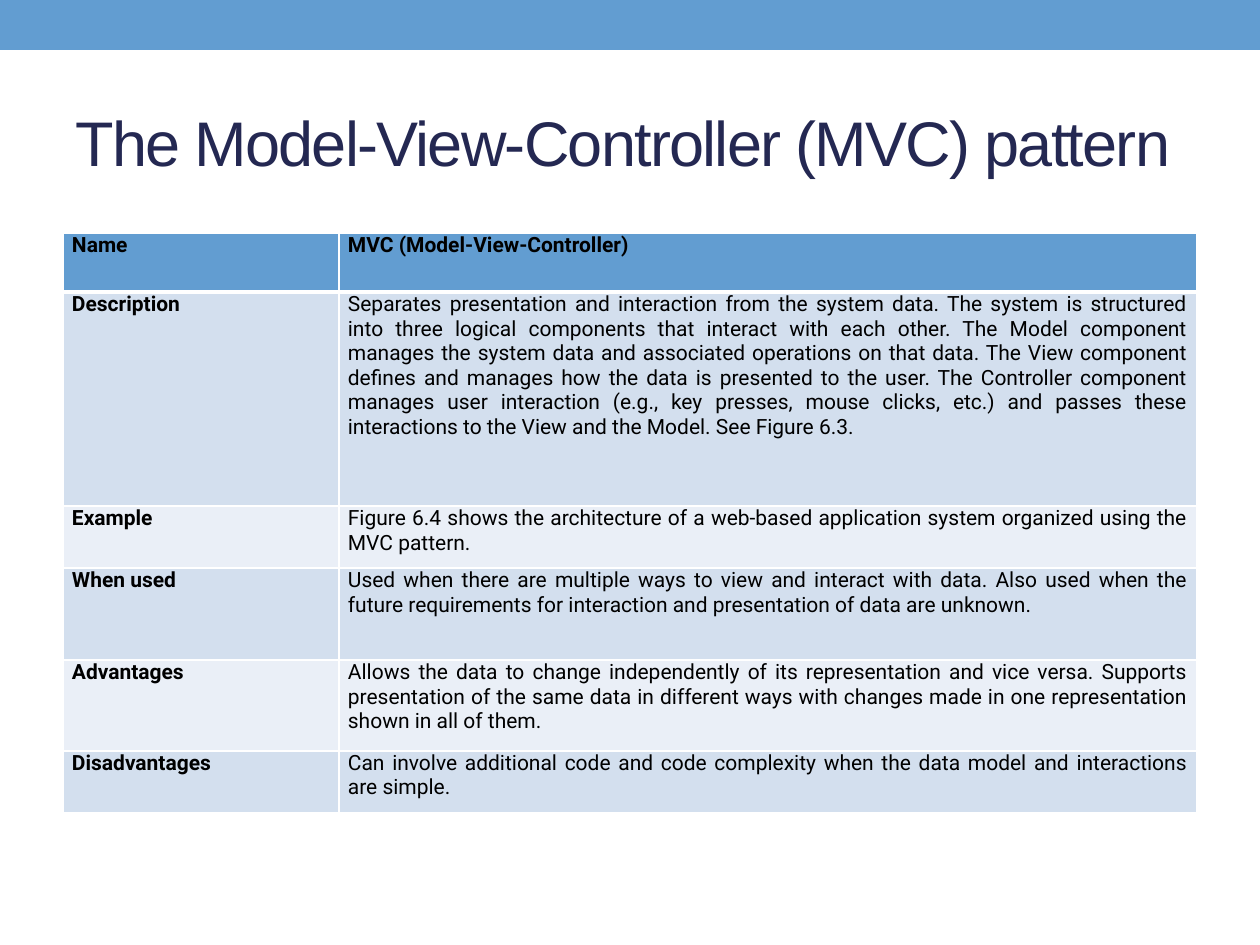
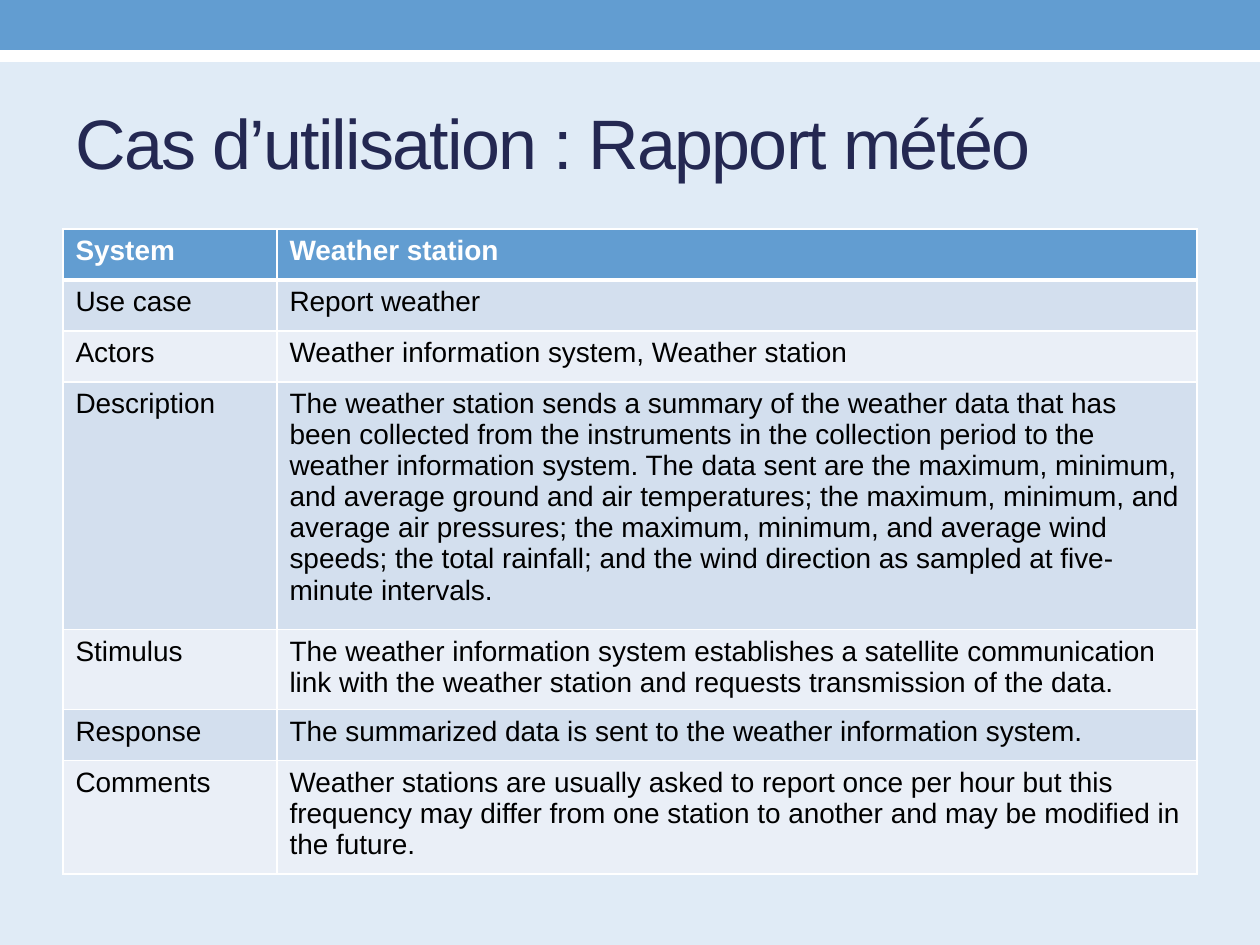
from pptx import Presentation
from pptx.dml.color import RGBColor as RGB
from pptx.enum.shapes import MSO_SHAPE as Shape
from pptx.enum.text import MSO_ANCHOR as Anchor, PP_ALIGN as Align
from pptx.oxml.ns import qn
from pptx.util import Pt
from lxml.etree import SubElement as Sub

PX = 914400 / 126
WIDE, HIGH = 1260, 945
BLUE = RGB(0x62, 0x9D, 0xD1)
NAVY = RGB(0x24, 0x28, 0x52)
PALE = RGB(0xE0, 0xEB, 0xF6)
ODD = RGB(0xD3, 0xDF, 0xEE)
EVEN = RGB(0xEA, 0xEF, 0xF7)
WHITE = RGB(0xFF, 0xFF, 0xFF)
BLACK = RGB(0, 0, 0)
TITLE = (63, 73, 1134, 136)

MVC = [
    ("Name", "MVC (Model-View-Controller)"),
    ("Description",
     "Separates presentation and interaction from the system data. The system is "
     "structured into three logical components that interact with each other. The "
     "Model component manages the system data and associated operations on that data. "
     "The View component defines and manages how the data is presented to the user. "
     "The Controller component manages user interaction (e.g., key presses, mouse "
     "clicks, etc.) and passes these interactions to the View and the Model. "
     "See Figure 6.3."),
    ("Example",
     "Figure 6.4 shows the architecture of a web-based application system organized "
     "using the MVC pattern."),
    ("When used",
     "Used when there are multiple ways to view and interact with data. Also used when "
     "the future requirements for interaction and presentation of data are unknown."),
    ("Advantages",
     "Allows the data to change independently of its representation and vice versa. "
     "Supports presentation of the same data in different ways with changes made in "
     "one representation shown in all of them."),
    ("Disadvantages",
     "Can involve additional code and code complexity when the data model and "
     "interactions are simple."),
]
REPORT = [
    ("System", "Weather station"),
    ("Use case", "Report weather"),
    ("Actors", "Weather information system, Weather station"),
    ("Description",
     "The weather station sends a summary of the weather data that has been collected "
     "from the instruments in the collection period to the weather information system. "
     "The data sent are the maximum, minimum, and average ground and air temperatures; "
     "the maximum, minimum, and average air pressures; the maximum, minimum, and "
     "average wind speeds; the total rainfall; and the wind direction as sampled at "
     "five-minute intervals."),
    ("Stimulus",
     "The weather information system establishes a satellite communication link with "
     "the weather station and requests transmission of the data."),
    ("Response", "The summarized data is sent to the weather information system."),
    ("Comments",
     "Weather stations are usually asked to report once per hour but this frequency "
     "may differ from one station to another and may be modified in the future."),
]


def px(*vals):
    return [round(v * PX) for v in vals]


def write(para, text, font, size, color, bold=False):
    run = para.add_run()
    run.text = text
    run.font.name, run.font.size, run.font.bold = font, Pt(size), bold
    run.font.color.rgb = color
    return run


def add_band(slide, box, color):
    band = slide.shapes.add_shape(Shape.RECTANGLE, *px(*box))
    band.shadow.inherit = False
    band.fill.solid()
    band.fill.fore_color.rgb = color
    band.line.fill.background()


def add_title(slide, box, text, size):
    frame = slide.shapes.add_textbox(*px(*box)).text_frame
    frame.word_wrap = True
    frame.vertical_anchor = Anchor.MIDDLE
    run = write(frame.paragraphs[0], text, "Arial", size, NAVY)
    run.font._element.set("spc", "-100")


def add_edges(cell, top, base):
    """Draw white cell borders; top and base are widths in points."""
    props = cell._tc.get_or_add_tcPr()
    for side, width in zip("LRTB", (1, 1, top, base)):
        line = Sub(props, qn(f"a:ln{side}"), w=str(Pt(width)))
        Sub(Sub(line, qn("a:solidFill")), qn("a:srgbClr"), val=str(WHITE))


def add_grid(slide, left, top, cols, highs, rows, style):
    """Fill a table; style(row, col) gives the font settings of a cell."""
    frame = slide.shapes.add_table(
        len(rows), len(cols), *px(left, top, sum(cols), sum(highs)))
    table = frame.table
    for col, wide in zip(table.columns, px(*cols)):
        col.width = wide
    for row, high in zip(table.rows, px(*highs)):
        row.height = high
    for r, texts in enumerate(rows):
        for c, text in enumerate(texts):
            cell = table.cell(r, c)
            add_edges(cell, 3 if r == 1 else 1, 3 if r == 0 else 1)
            cell.fill.solid()
            cell.fill.fore_color.rgb = BLUE if r == 0 else ODD if r % 2 else EVEN
            write(cell.text_frame.paragraphs[0], text, **style(r, c))
    return table


def build_mvc(slide):
    add_band(slide, (0, 0, WIDE, 50), BLUE)
    add_title(slide, TITLE, "The Model-View-Controller (MVC) pattern", 36)
    table = add_grid(
        slide, 63, 233, (276, 858), (59, 214, 62, 92, 91, 62), MVC,
        lambda r, c: dict(font="Roboto", size=12, color=BLACK,
                          bold=r == 0 or c == 0))
    for cell in table.iter_cells():
        cell.margin_left = cell.margin_right = px(9)[0]
        cell.margin_top = cell.margin_bottom = 0
        cell.text_frame.paragraphs[0].alignment = Align.JUSTIFY


def build_report(slide):
    back = slide.background.fill
    back.solid()
    back.fore_color.rgb = PALE
    add_band(slide, (0, 30, WIDE, 32), WHITE)
    add_band(slide, (0, 0, WIDE, 50), BLUE)
    add_title(slide, TITLE, "Cas d’utilisation : Rapport météo", 40)
    add_grid(
        slide, 63, 229, (214, 920), (51, 51, 51, 230, 75, 51, 106), REPORT,
        lambda r, c: dict(font="Arial", size=16, bold=r == 0,
                          color=BLACK if r else WHITE))


def main():
    deck = Presentation()
    deck.slide_width, deck.slide_height = px(WIDE, HIGH)
    for build in (build_mvc, build_report):
        build(deck.slides.add_slide(deck.slide_layouts[6]))
    deck.save("out.pptx")


if __name__ == "__main__":
    main()
